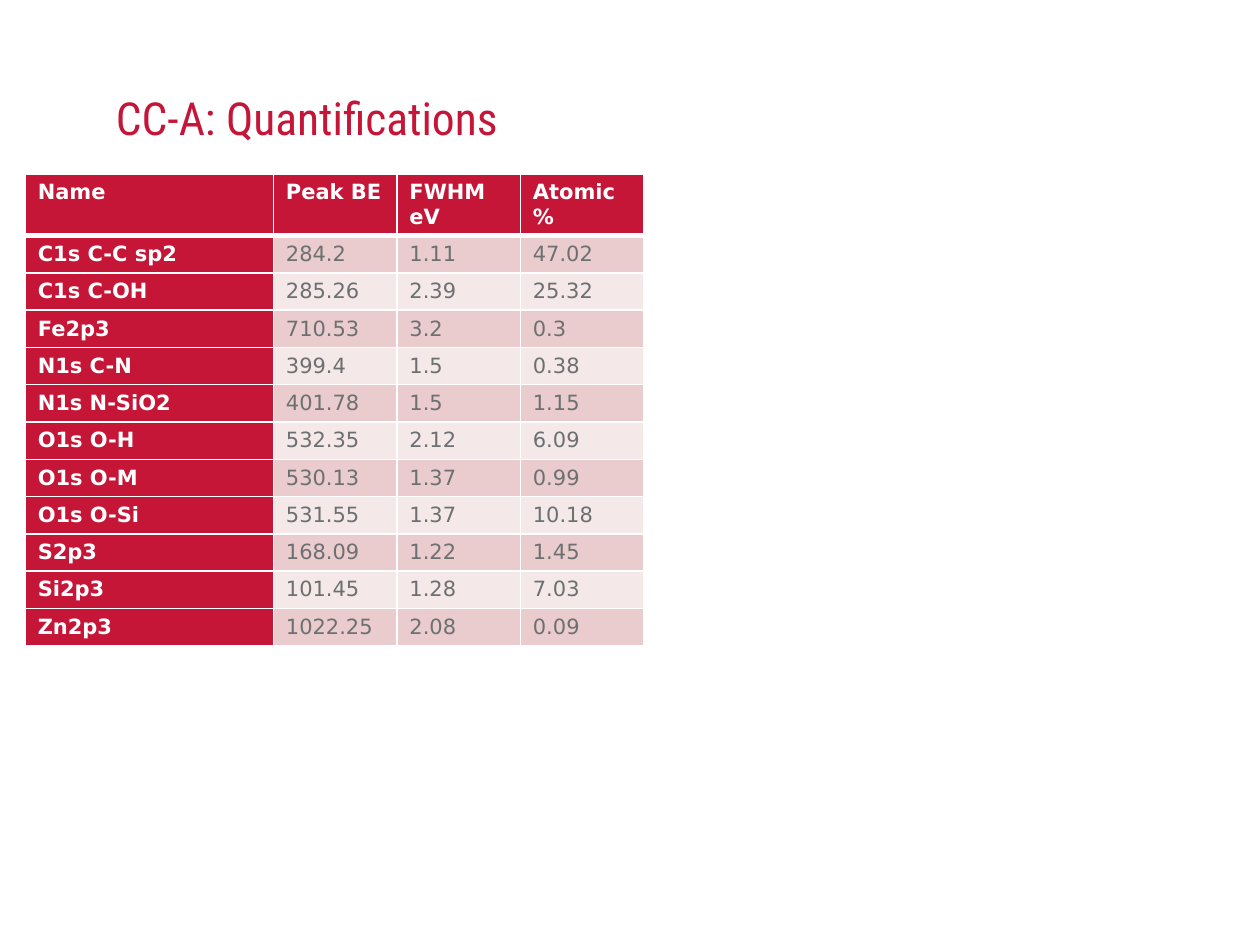
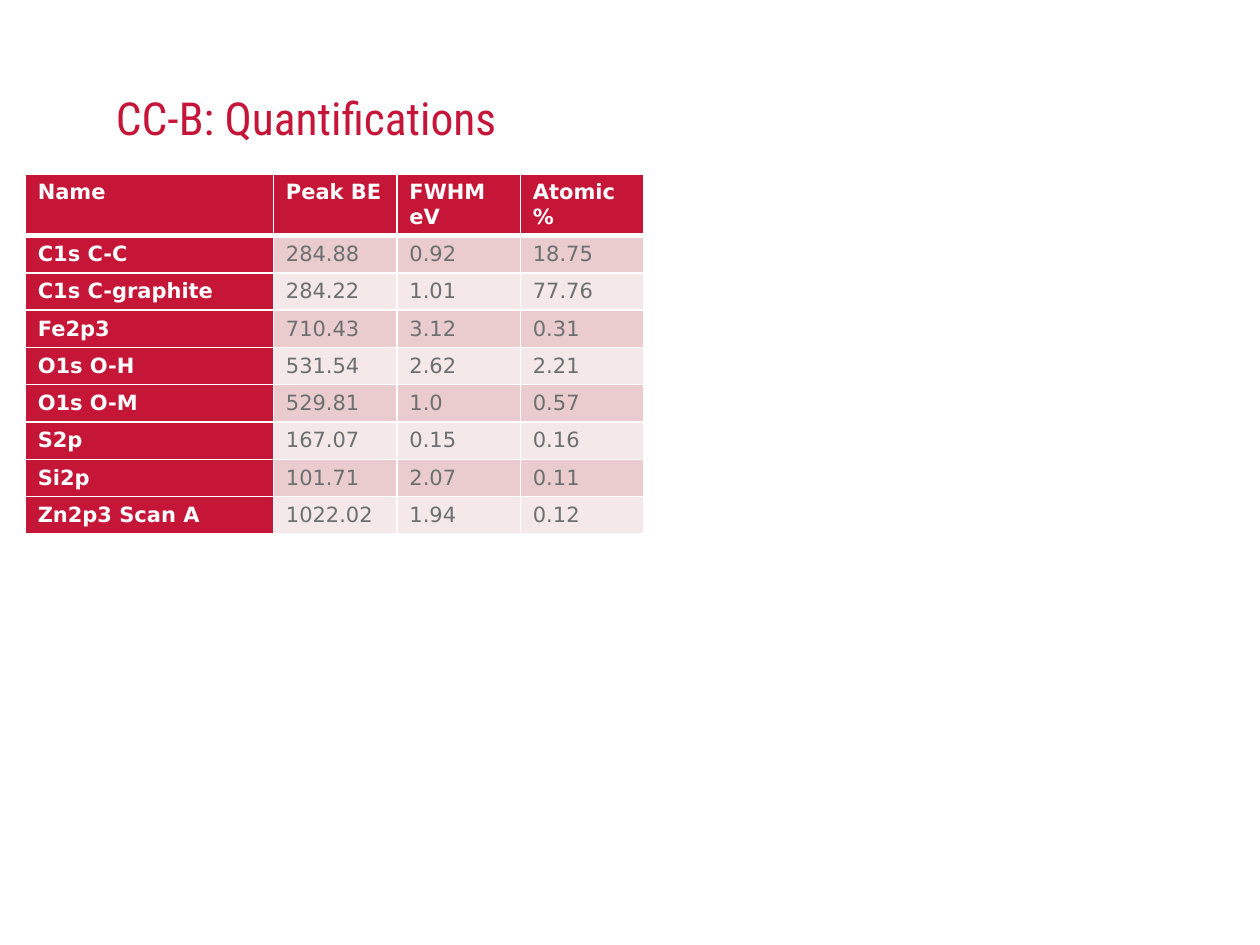
import pptx
import pptx.dml.color
import pptx.enum.text
import pptx.oxml
import pptx.oxml.ns
import pptx.util
from pptx.util import Inches

# Shared style
RED = pptx.dml.color.RGBColor(0xC5, 0x16, 0x38)
TITLE_RED = pptx.dml.color.RGBColor(0xC5, 0x15, 0x38)
GREY = pptx.dml.color.RGBColor(0x6C, 0x70, 0x70)
PINK = pptx.dml.color.RGBColor(0xEA, 0xCC, 0xCE)
PALE_PINK = pptx.dml.color.RGBColor(0xF5, 0xE8, 0xE8)
WHITE = pptx.dml.color.RGBColor(0xFF, 0xFF, 0xFF)
TITLE_FONT = "Roboto Condensed"
TABLE_FONT = "DejaVu Sans"

COLUMN_WIDTHS = (1.97, 0.98, 0.98, 0.98)
HEADER_HEIGHT = 0.48
ROW_HEIGHT = 0.29

# Slide content
HEADINGS = ("Name", "Peak BE", "FWHM eV", "Atomic %")
CC_A_PEAKS = (
    ("C1s C-C sp2", "284.2", "1.11", "47.02"),
    ("C1s C-OH", "285.26", "2.39", "25.32"),
    ("Fe2p3", "710.53", "3.2", "0.3"),
    ("N1s C-N", "399.4", "1.5", "0.38"),
    ("N1s N-SiO2", "401.78", "1.5", "1.15"),
    ("O1s O-H", "532.35", "2.12", "6.09"),
    ("O1s O-M", "530.13", "1.37", "0.99"),
    ("O1s O-Si", "531.55", "1.37", "10.18"),
    ("S2p3", "168.09", "1.22", "1.45"),
    ("Si2p3", "101.45", "1.28", "7.03"),
    ("Zn2p3", "1022.25", "2.08", "0.09"),
)
CC_B_PEAKS = (
    ("C1s C-C", "284.88", "0.92", "18.75"),
    ("C1s C-graphite", "284.22", "1.01", "77.76"),
    ("Fe2p3", "710.43", "3.12", "0.31"),
    ("O1s O-H", "531.54", "2.62", "2.21"),
    ("O1s O-M", "529.81", "1.0", "0.57"),
    ("S2p", "167.07", "0.15", "0.16"),
    ("Si2p", "101.71", "2.07", "0.11"),
    ("Zn2p3 Scan A", "1022.02", "1.94", "0.12"),
)


def write_text(text_frame, text, *, font, size, color, bold=False):
    paragraph = text_frame.paragraphs[0]
    paragraph.alignment = pptx.enum.text.PP_ALIGN.LEFT
    run = paragraph.add_run()
    run.text = text
    run.font.name = font
    run.font.size = pptx.util.Pt(size)
    run.font.color.rgb = color
    run.font.bold = bold


def set_borders(cell, top=1, bottom=1):
    """Draw white cell borders; widths are in points."""
    properties = cell._tc.get_or_add_tcPr()
    for side, width in (("L", 1), ("R", 1), ("T", top), ("B", bottom)):
        properties.append(pptx.oxml.parse_xml(
            f'<a:ln{side} {pptx.oxml.ns.nsdecls("a")} w="{pptx.util.Pt(width)}">'
            f'<a:solidFill><a:srgbClr val="{WHITE}"/></a:solidFill></a:ln{side}>'))


def add_title(slide, text):
    title = slide.shapes.title
    title.left, title.top = Inches(0.92), Inches(0.45)
    title.width, title.height = Inches(8.25), Inches(0.7)
    frame = title.text_frame
    frame.margin_left = frame.margin_right = 0
    frame.margin_top = frame.margin_bottom = 0
    frame.vertical_anchor = pptx.enum.text.MSO_ANCHOR.BOTTOM
    frame.word_wrap = True
    write_text(frame, text, font=TITLE_FONT, size=26, color=TITLE_RED)


def add_peak_table(slide, peaks):
    rows = (HEADINGS, *peaks)
    height = HEADER_HEIGHT + ROW_HEIGHT * len(peaks)
    table = slide.shapes.add_table(
        len(rows), len(HEADINGS), Inches(0.2), Inches(1.38),
        Inches(sum(COLUMN_WIDTHS)), Inches(height)).table
    table.first_col = True
    for column, width in zip(table.columns, COLUMN_WIDTHS):
        column.width = Inches(width)

    for row_index, values in enumerate(rows):
        is_header = row_index == 0
        table.rows[row_index].height = Inches(HEADER_HEIGHT if is_header else ROW_HEIGHT)
        band = PINK if row_index % 2 else PALE_PINK
        for column_index, value in enumerate(values):
            cell = table.cell(row_index, column_index)
            is_heading = is_header or column_index == 0
            # A thick line separates the header from the first peak
            set_borders(cell, top=3 if row_index == 1 else 1,
                        bottom=3 if is_header else 1)
            cell.fill.solid()
            cell.fill.fore_color.rgb = RED if is_heading else band
            write_text(cell.text_frame, value, font=TABLE_FONT, size=12,
                       color=WHITE if is_heading else GREY, bold=is_heading)


def add_quantification_slide(presentation, sample, peaks):
    slide = presentation.slides.add_slide(presentation.slide_layouts[5])
    add_title(slide, f"{sample}: Quantifications")
    add_peak_table(slide, peaks)


def main():
    presentation = pptx.Presentation()
    presentation.slide_width = Inches(10)
    presentation.slide_height = Inches(7.5)
    add_quantification_slide(presentation, "CC-A", CC_A_PEAKS)
    add_quantification_slide(presentation, "CC-B", CC_B_PEAKS)
    presentation.save("out.pptx")


if __name__ == "__main__":
    main()
